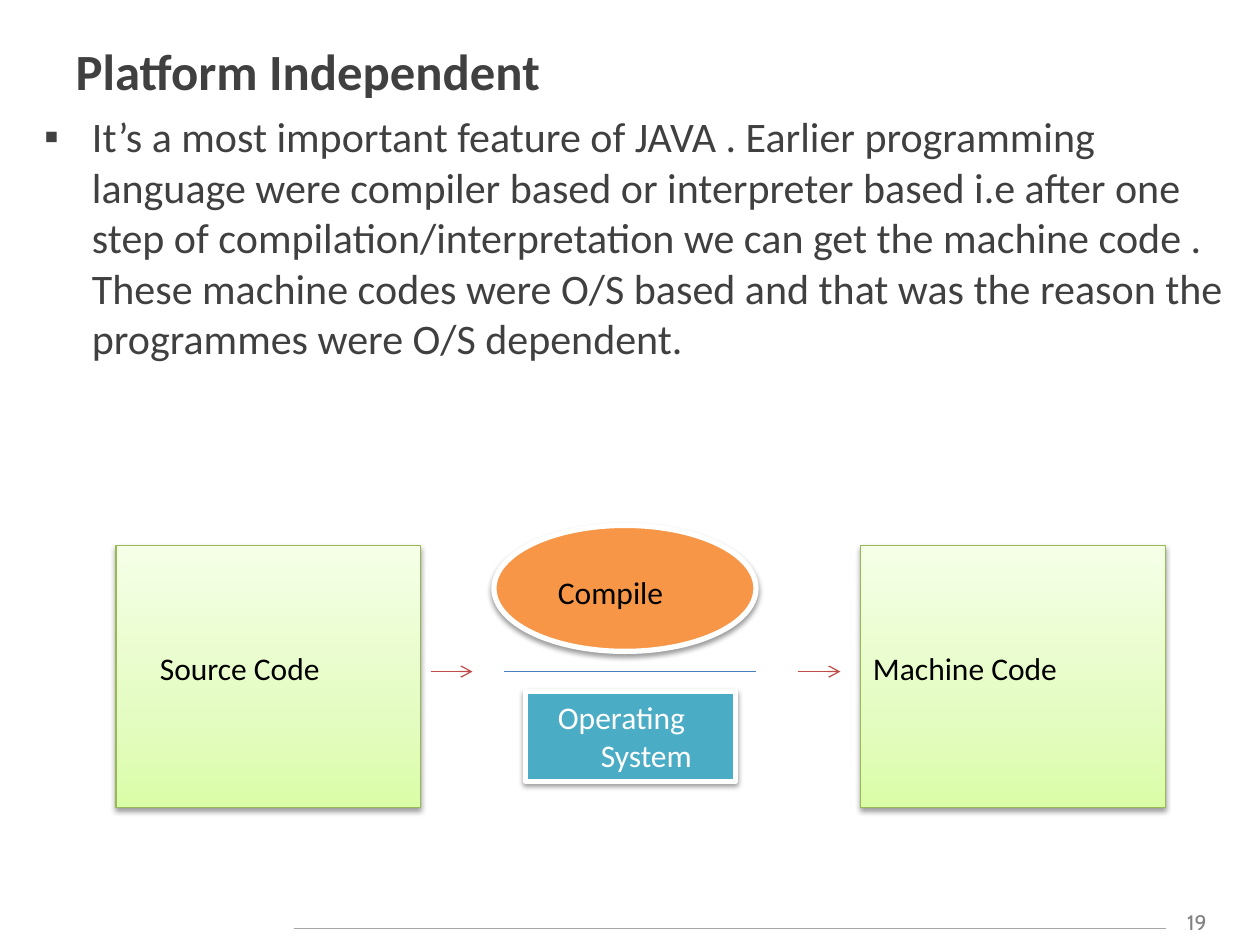
"""Build the slide on platform independence."""
from copy import deepcopy

from lxml.etree import SubElement
from pptx import Presentation
from pptx.dml.color import RGBColor
from pptx.enum.shapes import MSO_CONNECTOR, MSO_SHAPE
from pptx.enum.text import MSO_ANCHOR, MSO_AUTO_SIZE, PP_ALIGN
from pptx.oxml.ns import qn
from pptx.util import Inches, Pt

DARK = RGBColor(0x40, 0x40, 0x40)
GRAY = RGBColor(0x80, 0x80, 0x80)
SILVER = RGBColor(0xA6, 0xA6, 0xA6)
BLACK = RGBColor(0x00, 0x00, 0x00)
WHITE = RGBColor(0xFF, 0xFF, 0xFF)
ORANGE = RGBColor(0xF7, 0x96, 0x46)
TEAL = RGBColor(0x4B, 0xAC, 0xC6)
GREEN = RGBColor(0x98, 0xB9, 0x55)
RED = RGBColor(0xBF, 0x4C, 0x48)
BLUE = RGBColor(0x4B, 0x7E, 0xBC)
FADE = [
    (0, RGBColor(0xDA, 0xFD, 0xA7)),
    (0.35, RGBColor(0xE4, 0xFC, 0xC2)),
    (1, RGBColor(0xF5, 0xFF, 0xE7)),
]
BODY = (
    "It’s a most important feature of JAVA . Earlier programming language "
    "were compiler based or interpreter based i.e after one step of "
    "compilation/interpretation we can get the machine code . These machine "
    "codes were O/S based and that was the reason the programmes were O/S "
    "dependent."
)


def place(shape, left, top, width, height):
    """Move and size a shape, in inches."""
    shape.left, shape.top = Inches(left), Inches(top)
    shape.width, shape.height = Inches(width), Inches(height)


def add_run(para, text, size, color, face="Calibri", bold=False):
    """Add one formatted run to a paragraph."""
    run = para.add_run()
    run.text = text
    font = run.font
    font.name, font.size, font.bold = face, Pt(size), bold
    font.color.rgb = color


def indent(para, left, first=0):
    """Set the left margin and first-line indent, in inches."""
    props = para._p.get_or_add_pPr()
    props.set("marL", str(Inches(left)))
    props.set("indent", str(Inches(first)))
    return props


def set_title(shape):
    """Fill the title placeholder."""
    place(shape, 0.5, 0.17, 9, 0.78)
    frame = shape.text_frame
    frame.auto_size = MSO_AUTO_SIZE.NONE
    frame.vertical_anchor = MSO_ANCHOR.MIDDLE
    para = frame.paragraphs[0]
    para.alignment = PP_ALIGN.LEFT
    add_run(para, "Platform Independent", 29, DARK, bold=True)


def set_body(shape):
    """Fill the body placeholder with its bullet."""
    place(shape, 0.25, 0.83, 9.58, 6.5)
    frame = shape.text_frame
    frame.auto_size = MSO_AUTO_SIZE.NONE
    para = frame.paragraphs[0]
    props = indent(para, 0.38, -0.38)
    SubElement(props, qn("a:buFont"), typeface="Arial")
    SubElement(props, qn("a:buChar"), char="▪")
    add_run(para, BODY, 24, DARK)


def add_label(slide, text, box, size=18, color=BLACK, face="Calibri", align=PP_ALIGN.LEFT):
    """Add a one-line text box."""
    shape = slide.shapes.add_textbox(*map(Inches, box))
    frame = shape.text_frame
    frame.word_wrap = True
    para = frame.paragraphs[0]
    para.alignment = align
    add_run(para, text, size, color, face)


def add_shadow(shape):
    """Give a shape a soft shadow below it."""
    shape.shadow.inherit = False
    effects = shape._element.spPr.find(qn("a:effectLst"))
    outer = SubElement(
        effects, qn("a:outerShdw"), blurRad=str(Pt(3.1)), dist=str(Pt(1.6)),
        dir="5400000", rotWithShape="0",
    )
    shade = SubElement(outer, qn("a:srgbClr"), val=str(BLACK))
    SubElement(shade, qn("a:alpha"), val="38000")


def add_block(slide, kind, box, edge, weight, fill=None):
    """Add a shadowed shape, solid or with the green fade."""
    shape = slide.shapes.add_shape(kind, *map(Inches, box))
    shape.line.color.rgb = edge
    shape.line.width = Pt(weight)
    if fill is None:
        paint_fade(shape)
    else:
        shape.fill.solid()
        shape.fill.fore_color.rgb = fill
    add_shadow(shape)
    return shape


def paint_fade(shape):
    """Fill a shape with the green fade, rising from the bottom."""
    shape.fill.gradient()
    shape.fill.gradient_angle = 90
    stops = shape._element.spPr.find(qn("a:gradFill")).find(qn("a:gsLst"))
    stops.append(deepcopy(stops[0]))
    for stop, (spot, color) in zip(shape.fill.gradient_stops, FADE):
        stop.position = spot
        stop.color.rgb = color


def add_line(slide, left, right, top, color, arrow=False):
    """Add a level line, with an open arrowhead if asked."""
    line = slide.shapes.add_connector(
        MSO_CONNECTOR.STRAIGHT, Inches(left), Inches(top), Inches(right), Inches(top)
    )
    line.line.color.rgb = color
    line.line.width = Pt(0.75)
    if arrow:
        SubElement(line.line._get_or_add_ln(), qn("a:tailEnd"), type="arrow")
    SubElement(line._element.spPr, qn("a:effectLst"))


def add_system(slide):
    """Add the operating system box with its stepped words."""
    box = add_block(slide, MSO_SHAPE.RECTANGLE, (4.17, 5.49, 1.67, 0.71), WHITE, 3, TEAL)
    frame = box.text_frame
    frame.vertical_anchor = MSO_ANCHOR.TOP
    paras = frame.paragraphs[0], frame.add_paragraph()
    for para, text, left in zip(paras, ("Operating", "System"), (0.16, 0.5)):
        para.alignment = PP_ALIGN.LEFT
        indent(para, left)
        add_run(para, text, 18, WHITE)


def main():
    """Build and save the slide."""
    deck = Presentation()
    deck.slide_width, deck.slide_height = Inches(10), Inches(7.5)
    slide = deck.slides.add_slide(deck.slide_layouts[1])
    set_title(slide.shapes.title)
    set_body(slide.placeholders[1])

    add_label(slide, "19", (9.25, 7.17, 0.5, 0.3), 12, GRAY, "Cabin", PP_ALIGN.CENTER)
    add_line(slide, 2.33, 9.25, 7.37, SILVER)

    for left in (0.92, 6.83):
        add_block(slide, MSO_SHAPE.RECTANGLE, (left, 4.33, 2.42, 2.08), GREEN, 0.75)
    add_label(slide, "Source Code", (1.17, 5.1, 2.08, 0.4))
    add_label(slide, "Machine Code", (6.83, 5.1, 2.08, 0.4))

    add_block(slide, MSO_SHAPE.OVAL, (3.92, 4.17, 2.08, 1), WHITE, 3, ORANGE)
    add_label(slide, "Compile", (4.33, 4.5, 1.42, 0.42))
    for left, right in ((3.42, 3.75), (6.33, 6.67)):
        add_line(slide, left, right, 5.33, RED, arrow=True)
    add_line(slide, 4, 6, 5.33, BLUE)
    add_system(slide)
    deck.save("out.pptx")


if __name__ == "__main__":
    main()
